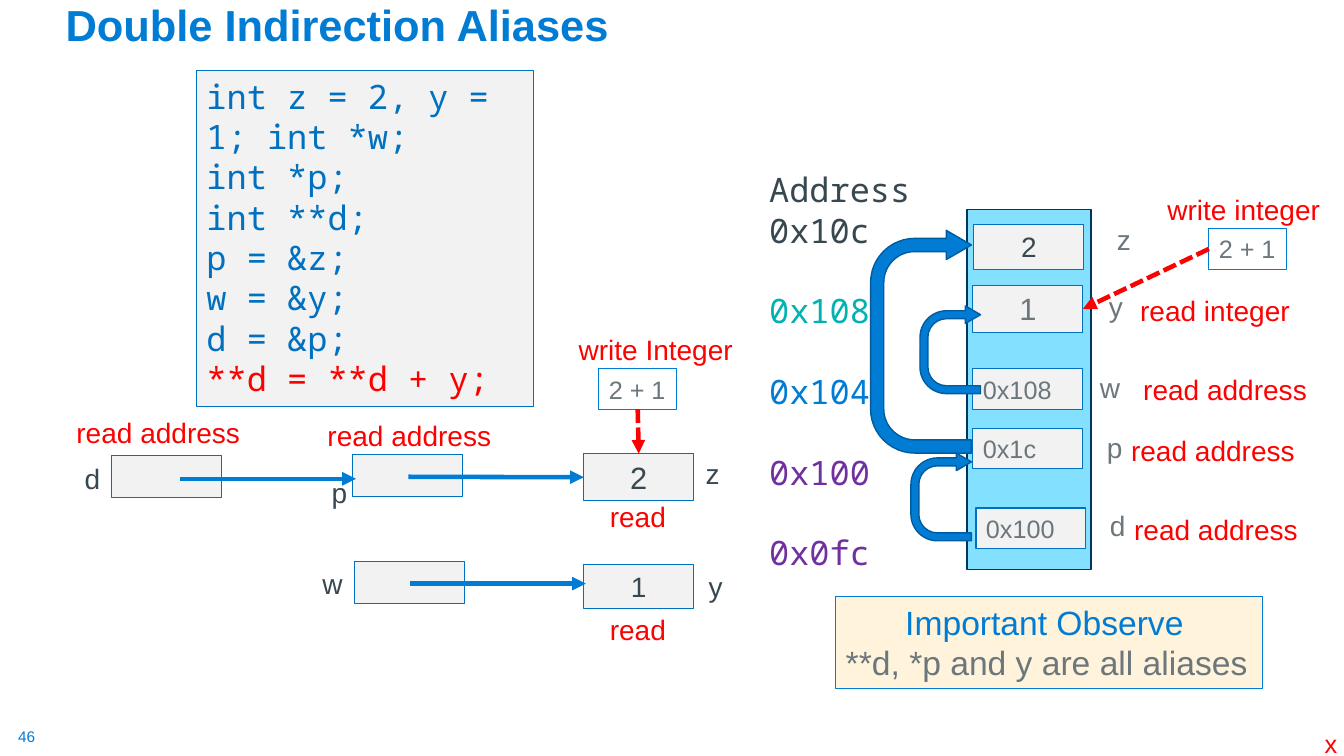
from dataclasses import dataclass
from lxml import etree
from pptx import Presentation
from pptx.dml.color import RGBColor
from pptx.enum.dml import MSO_LINE_DASH_STYLE as DASH
from pptx.enum.shapes import MSO_CONNECTOR, MSO_SHAPE
from pptx.enum.text import MSO_ANCHOR, MSO_AUTO_SIZE as AUTO, PP_ALIGN
from pptx.oxml.ns import qn
from pptx.util import Inches, Pt


@dataclass(frozen=True)
class Theme:
    sans: str = "Arial"
    mono: str = "Noto Sans Mono"
    blue: str = "007CD5"
    edge: str = "0070C0"
    deep: str = "005C9E"
    navy: str = "00365D"
    sky: str = "83E1FF"
    cell: str = "F2F2F2"
    cream: str = "FFF4DB"
    dark: str = "384851"
    grey: str = "6B767D"
    red: str = "FF0000"
    teal: str = "00B2B1"
    purple: str = "7030A0"
    title: float = 31
    code: float = 24
    big: float = 22
    label: float = 20
    small: float = 18
    number: float = 11
    thin: float = 0.75
    thick: float = 3.25


T = Theme()

# Positions are columns and rows of a one-inch grid.
COLS, ROWS = 13.33, 7.5
CELL_W, CELL_H, LABEL_H = 1.09, 0.42, 0.44

TITLE = "Double Indirection Aliases"
CODE = ["int z = 2, y = 1; int *w;", "int *p;", "int **d;", "p = &z;",
        "w = &y;", "d = &p;", ("**d = **d + y;", T.red)]
ADDRESSES = [("0x108", T.teal), ("0x104", T.blue),
             ("0x100", T.purple), ("0x0fc", T.purple)]
SUMMARY = [("Important Observe ", T.blue, PP_ALIGN.CENTER),
           "**d, *p and y are all aliases"]

# name: value, left, top, height, size, colour
POINTER_CELLS = {
    "p": ("", 3.5, 4.51, CELL_H, T.label, T.dark),
    "z": ("2", 5.79, 4.5, 0.47, T.big, T.dark),
    "y": ("1", 5.79, 5.6, LABEL_H, T.label, T.dark),
    "w": ("", 3.52, 5.57, CELL_H, T.label, T.dark),
    "d": ("", 1.11, 4.52, CELL_H, T.label, T.dark),
}
MEMORY_CELLS = {
    "z": ("2", 9.66, 2.23, LABEL_H, T.label, T.dark),
    "y": ("1", 9.65, 2.83, 0.47, T.big, T.grey),
    "w": ("0x108", 9.65, 3.66, 0.4, T.small, T.grey),
    "p": ("0x1c", 9.65, 4.25, 0.4, T.small, T.grey),
    "d": ("0x100", 9.68, 5.04, 0.4, T.small, T.grey),
}
# text, left, top, width
POINTER_NAMES = [("w", 3.1, 5.57, 0.41), ("y", 6.93, 5.6, 0.34),
                 ("z", 6.9, 4.48, 0.34), ("p", 3.19, 4.67, 0.36),
                 ("d", 0.74, 4.53, 0.36)]
MEMORY_NAMES = [("z", 10.98, 2.16, 0.34), ("y", 10.9, 2.82, 0.34),
                ("w", 10.81, 3.63, 0.41), ("p", 10.88, 4.22, 0.36),
                ("d", 10.91, 5, 0.36)]
STEPS = [("read address", 3.15, 4.1, 1.84), ("read address", 0.66, 4.07, 1.84),
         ("read", 5.95, 4.91, 0.76), ("read", 5.95, 6.03, 0.76),
         ("write Integer", 5.64, 3.25, 1.74), ("write integer", 11.48, 1.86, 1.73),
         ("read integer", 11.21, 2.86, 1.7), ("read address", 11.24, 3.65, 1.84),
         ("read address", 11.12, 4.25, 1.84), ("read address", 11.15, 5.04, 1.84)]
U_TURNS = [(8.99, 3.17, 0.87, 0.6), (8.03, 2.89, 2.21, 1), (8.9, 4.63, 0.87, 0.6)]
U_TURN_SHAPE = (0.131, 0.145, 0.25, 0.438, 1)


def rgb(colour):
    return RGBColor.from_string(colour)


def grid(*places):
    return [Inches(n) for n in places]


def write(sp, lines, size=T.label, colour=T.dark, font=T.sans, bold=False,
          align=PP_ALIGN.LEFT, anchor=MSO_ANCHOR.TOP, wrap=True,
          fit=AUTO.SHAPE_TO_FIT_TEXT):
    """Fill a shape; each line is a string or (string, colour[, alignment])."""
    tf = sp.text_frame
    tf.word_wrap, tf.auto_size, tf.vertical_anchor = wrap, fit, anchor
    for i, line in enumerate(lines):
        text, *own = (line,) if isinstance(line, str) else line
        p = tf.paragraphs[0] if i == 0 else tf.add_paragraph()
        p.alignment = own[1] if len(own) > 1 else align
        r = p.add_run()
        r.text = text
        r.font.name, r.font.size, r.font.bold = font, Pt(size), bold
        r.font.color.rgb = rgb(own[0] if own else colour)
    return tf


def shape(s, place, fill, line=T.edge, width=T.thin, kind=MSO_SHAPE.RECTANGLE):
    sp = s.shapes.add_shape(kind, *grid(*place))
    sp.shadow.inherit = False
    if fill:
        sp.fill.solid()
        sp.fill.fore_color.rgb = rgb(fill)
    else:
        sp.fill.background()
    sp.line.color.rgb, sp.line.width = rgb(line), Pt(width)
    return sp


def label(s, place, lines, **fmt):
    return write(s.shapes.add_textbox(*grid(*place)), lines, wrap=False, **fmt)


def cells(s, content):
    made = {}
    for name, (value, left, top, height, size, colour) in content.items():
        made[name] = shape(s, (left, top, CELL_W, height), T.cell)
        if value:
            align = PP_ALIGN.LEFT if value.startswith("0x") else PP_ALIGN.CENTER
            write(made[name], [value], size=size, colour=colour, align=align)
    return made


def arrow(s, start=(0, 0), end=(0, 0), join_from=None, join_to=None,
          colour=T.blue, dash=None):
    """Draw an arrow; a join is (shape, side) and overrides that end."""
    c = s.shapes.add_connector(MSO_CONNECTOR.STRAIGHT, *grid(*start, *end))
    if join_from:
        c.begin_connect(*join_from)
    if join_to:
        c.end_connect(*join_to)
    c.line.color.rgb, c.line.width = rgb(colour), Pt(T.thick)
    if dash:
        c.line.dash_style = dash
    etree.SubElement(c.line._get_or_add_ln(), qn("a:tailEnd"), type="triangle")
    etree.SubElement(c._element.spPr, qn("a:effectLst"))


def sum_box(s, left, top):
    sp = shape(s, (left, top, 0.77, 0.4), None, T.blue)
    write(sp, ["2 + 1"], size=T.small, colour=T.grey, wrap=False)
    return sp


def main():
    prs = Presentation()
    prs.slide_width, prs.slide_height = grid(COLS, ROWS)
    s = prs.slides.add_slide(prs.slide_layouts[5])

    title = s.shapes.title
    title.left, title.top, title.width, title.height = grid(0.55, 0.13, 12.02, 0.43)
    tf = write(title, [TITLE], size=T.title, colour=T.blue, bold=True,
               anchor=MSO_ANCHOR.BOTTOM, fit=AUTO.NONE)
    tf.paragraphs[0].line_spacing = 0.9

    tf = label(s, (0.18, 7.21, 0.19, 0.19), ["46"], size=T.number, colour=T.blue)
    tf.margin_left = tf.margin_right = tf.margin_top = tf.margin_bottom = 0
    label(s, (13.04, 7.18, 0.33, 0.4), ["x"], size=T.small, colour=T.red)

    write(shape(s, (1.95, 0.7, 3.34, 3.33), T.cell), CODE,
          size=T.code, colour=T.edge, font=T.mono)

    pointers = cells(s, POINTER_CELLS)
    shape(s, (9.59, 2.08, 1.23, 3.57), T.sky, T.navy, 1)
    memory = cells(s, MEMORY_CELLS)

    for place in U_TURNS:
        sp = shape(s, place, T.blue, T.deep, 1, MSO_SHAPE.U_TURN_ARROW)
        sp.rotation = 270
        for i, value in enumerate(U_TURN_SHAPE):
            sp.adjustments[i] = value

    tf = label(s, (7.53, 1.63, 1.69, 4.14), ["Address", "0x10c", *ADDRESSES],
               size=T.code, font=T.mono)
    for p in tf.paragraphs[2:]:
        p.space_before = Pt(1.2 * T.code)

    for group, colour in ((POINTER_NAMES, T.dark), (MEMORY_NAMES, T.grey),
                          (STEPS, T.red)):
        for text, left, top, width in group:
            label(s, (left, top, width, LABEL_H), [text], colour=colour)

    arrow(s, (1.79, 4.75), (3.53, 4.75))
    arrow(s, (4.05, 4.73), join_to=(pointers["z"], 1))
    arrow(s, (4.07, 5.79), (5.81, 5.79))
    for place, target in (((5.94, 3.66), (pointers["z"], 0)),
                          ((11.99, 2.27), (memory["y"], 3))):
        side = 2 if target[1] == 0 else 1
        arrow(s, join_from=(sum_box(s, *place), side), join_to=target,
              colour=T.red, dash=DASH.SQUARE_DOT)

    write(shape(s, (8.29, 5.92, 4.23, 0.91), T.cream, T.blue), SUMMARY,
          size=T.code, colour=T.grey, wrap=False)
    prs.save("out.pptx")


if __name__ == "__main__":
    main()
